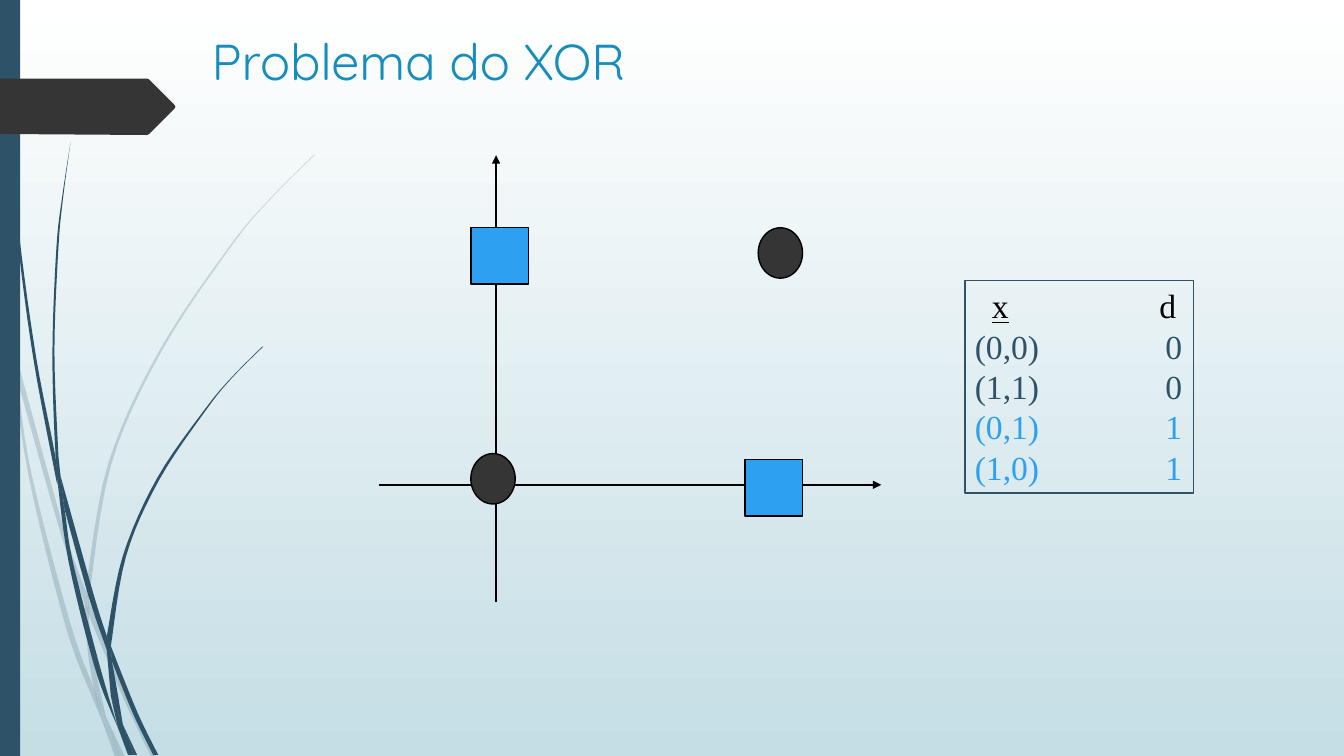
from lxml import etree
from pptx import Presentation
from pptx import util as u
from pptx.dml.color import RGBColor
from pptx.enum import shapes, text
from pptx.oxml.ns import qn

NAVY = RGBColor(0x2E, 0x53, 0x69)
CHARCOAL = RGBColor(0x35, 0x35, 0x35)
BLUE = RGBColor(0x2D, 0xA0, 0xF1)
TEAL = RGBColor(0x17, 0x8D, 0xBB)
BLACK = RGBColor(0, 0, 0)
WHITE = RGBColor(0xFF, 0xFF, 0xFF)
MIST = RGBColor(0xC5, 0xDE, 0xE5)

TITLE = "Problema do XOR"
HEADER = ("x", "d")
ROWS = [("(0,0)", "0", NAVY), ("(1,1)", "0", NAVY),
        ("(0,1)", "1", BLUE), ("(1,0)", "1", BLUE)]
HEADER_TABS = (0.17, 1.83)
ROW_TABS = (1.89,)

AXES = [((3.76, 4.81), (8.74, 4.81)), ((4.92, 5.97), (4.92, 1.54))]
CIRCLE, SQUARE = (0.44, 0.5), (0.57, 0.56)
CLASS_ZERO = [(4.67, 4.5), (7.52, 2.26)]
CLASS_ONE = [(4.67, 2.26), (7.39, 4.56)]

TAG = [(0, 0.78), (1.46, 0.78), (1.48, 0.79), (1.73, 1.04), (1.74, 1.06),
       (1.73, 1.08), (1.48, 1.33), (1.46, 1.34), (0, 1.33)]

# Each piece of grass: one edge going down, the other going back up
PALE_GRASS = [
    ([(0, 2.82), (0.09, 3.22), (0.11, 3.5)], [(0.1, 3.44), (0, 2.99)]),
    ([(0.14, 3.45), (0.62, 5.2), (0.85, 5.86)], [(0.84, 5.99), (0.58, 5.22), (0.17, 3.76)]),
    ([(0.88, 5.96), (1.27, 6.92), (1.55, 7.51)], [(1.5, 7.51), (1.23, 6.94), (0.88, 6.1)]),
    ([(1.05, 7.11), (1.24, 7.51)], [(1.19, 7.51)]),
    ([(0.11, 3.5), (0.17, 3.76), (0.31, 4.69), (0.7, 6.19), (0.93, 6.83), (1.01, 7.14)],
     [(0.92, 6.93), (0.65, 6.21), (0.28, 4.7), (0.11, 3.5)]),
    ([(0.84, 5.99), (0.88, 6.1), (0.91, 6.46), (1.05, 7.11)],
     [(0.93, 6.83), (0.87, 6.46), (0.84, 5.99)]),
    ([(3.12, 1.53), (2.68, 1.97), (2.28, 2.44), (1.58, 3.48), (1.07, 4.61), (0.85, 5.86)],
     [(0.88, 5.96), (1.1, 4.62), (1.6, 3.49), (2.29, 2.45), (2.68, 1.98), (3.12, 1.54)]),
    ([(1.01, 7.14), (1.19, 7.51)], [(1.14, 7.51)]),
    ([(0.85, 5.86), (0.88, 5.96), (0.88, 6.1)], [(0.84, 5.99)]),
    ([(0.93, 6.83), (1.05, 7.11), (1.19, 7.51)], [(1.01, 7.14)]),
]
DARK_GRASS = [
    ([(0.04, 0), (0.08, 1.09), (0.19, 2.32), (0.36, 3.55), (0.55, 4.53), (0.57, 4.81)],
     [(0.56, 4.77), (0.33, 3.55), (0.17, 2.33), (0.07, 1.1), (0.03, 0)]),
    ([(0.6, 4.72), (0.93, 5.9), (1.06, 6.31)], [(1.06, 6.45), (0.88, 5.92), (0.64, 5.05)]),
    ([(1.1, 6.41), (1.36, 7.06), (1.57, 7.49)], [(1.52, 7.49), (1.32, 7.08), (1.11, 6.56)]),
    ([(0.57, 4.77), (0.64, 5.05), (0.72, 5.56), (0.98, 6.57), (1.17, 7.22)],
     [(1.11, 7.08), (0.93, 6.59), (0.68, 5.57), (0.57, 4.77)]),
    ([(0.7, 1.41), (0.62, 1.93), (0.56, 2.45), (0.52, 3.49), (0.55, 4.49), (0.6, 4.72)],
     [(0.58, 4.53), (0.54, 3.49), (0.58, 2.45), (0.63, 1.93), (0.7, 1.41)]),
    ([(1.22, 7.19), (1.36, 7.49)], [(1.33, 7.49)]),
    ([(0.55, 4.49), (0.6, 4.72), (0.64, 5.05)], [(0.57, 4.77)]),
    ([(2.6, 3.44), (2.31, 3.73), (2.04, 4.05), (1.56, 4.74), (1.22, 5.51), (1.06, 6.31)],
     [(1.1, 6.41), (1.25, 5.52), (1.58, 4.76), (2.05, 4.06), (2.31, 3.74), (2.61, 3.44)]),
    ([(1.17, 7.22), (1.31, 7.49)], [(1.27, 7.49)]),
    ([(1.06, 6.45), (1.11, 6.56), (1.22, 7.19)], [(1.1, 6.91), (1.06, 6.45)]),
    ([(1.06, 6.31), (1.1, 6.41), (1.11, 6.56)], [(1.06, 6.45)]),
    ([(1.1, 6.91), (1.22, 7.19), (1.33, 7.49)], [(1.3, 7.49), (1.17, 7.22)]),
]


def smooth(knots, steps=6):
    """Return points along a Catmull-Rom curve through the knots."""
    padded = [knots[0], *knots, knots[-1]]
    curve = []
    for a, b, c, d in zip(padded, padded[1:], padded[2:], padded[3:]):
        for step in range(steps):
            t = step / steps
            curve.append(tuple(
                (2 * q + (r - p) * t + (2 * p - 5 * q + 4 * r - s) * t ** 2
                 + (3 * q - p - 3 * r + s) * t ** 3) / 2
                for p, q, r, s in zip(a, b, c, d)))
    return curve + [knots[-1]]


def paint(shape, fill=None, line=None):
    shape.shadow.inherit = False
    if fill is None:
        shape.fill.background()
    else:
        shape.fill.solid()
        shape.fill.fore_color.rgb = fill
    if line is None:
        shape.line.fill.background()
    else:
        shape.line.color.rgb = line
        shape.line.width = u.Pt(1)


def add_outline(slide, points, fill, alpha=None):
    corners = [(u.Inches(x), u.Inches(y)) for x, y in points]
    builder = slide.shapes.build_freeform(*corners[0])
    builder.add_line_segments(corners[1:])
    outline = builder.convert_to_shape()
    paint(outline, fill)
    if alpha:
        color = outline.element.spPr.find(qn("a:solidFill"))[0]
        etree.SubElement(color, qn("a:alpha"), val=str(alpha * 1000))


def add_preset(slide, kind, place, size, fill=None, line=None):
    shape = slide.shapes.add_shape(kind, *map(u.Inches, place + size))
    paint(shape, fill, line)
    return shape


def add_axis(slide, start, end):
    axis = slide.shapes.add_connector(
        shapes.MSO_CONNECTOR.STRAIGHT, *map(u.Inches, start + end))
    axis.line.color.rgb = BLACK
    axis.line.width = u.Pt(1)
    properties = axis.element.spPr
    etree.SubElement(properties.find(qn("a:ln")), qn("a:tailEnd"), type="triangle")
    etree.SubElement(properties, qn("a:effectLst"))


def set_tabs(paragraph, stops):
    tabs = etree.SubElement(paragraph._p.get_or_add_pPr(), qn("a:tabLst"))
    for stop in stops:
        etree.SubElement(tabs, qn("a:tab"), pos=str(u.Inches(stop)), algn="l")


def add_run(paragraph, words, font, size, color, underline=None):
    run = paragraph.add_run()
    run.text = words
    run.font.name, run.font.size = font, u.Pt(size)
    run.font.color.rgb = color
    run.font.underline = underline


def add_truth_table(slide):
    box = add_preset(slide, shapes.MSO_SHAPE.RECTANGLE, (9.57, 2.78), (2.27, 2.11), line=NAVY)
    frame = box.text_frame
    frame.word_wrap = True
    frame.vertical_anchor = text.MSO_ANCHOR.TOP
    header = frame.paragraphs[0]
    set_tabs(header, HEADER_TABS)
    serif = ("Times New Roman", 24)
    add_run(header, "\t", *serif, BLACK)
    add_run(header, HEADER[0], *serif, BLACK, True)
    add_run(header, "\t" + HEADER[1], *serif, BLACK)
    for point, target, color in ROWS:
        row = frame.add_paragraph()
        set_tabs(row, ROW_TABS)
        add_run(row, f"{point}\t{target}", *serif, color)
    for paragraph in frame.paragraphs:
        paragraph.alignment = text.PP_ALIGN.LEFT


def main():
    deck = Presentation()
    deck.slide_width, deck.slide_height = u.Inches(13.33), u.Inches(7.5)
    slide = deck.slides.add_slide(deck.slide_layouts[5])
    backdrop = slide.background.fill
    backdrop.gradient()
    backdrop.gradient_angle = 270
    for stop, color in zip(backdrop.gradient_stops, (WHITE, MIST)):
        stop.color.rgb = color

    for grass, alpha in ((PALE_GRASS, 20), (DARK_GRASS, None)):
        for down, up in grass:
            add_outline(slide, smooth(down) + smooth(up), NAVY, alpha)
    add_preset(slide, shapes.MSO_SHAPE.RECTANGLE, (0, 0), (0.2, 7.5), NAVY)
    add_outline(slide, TAG, CHARCOAL)
    for start, end in AXES:
        add_axis(slide, start, end)
    for place in CLASS_ZERO:
        add_preset(slide, shapes.MSO_SHAPE.OVAL, place, CIRCLE, CHARCOAL, BLACK)
    for place in CLASS_ONE:
        add_preset(slide, shapes.MSO_SHAPE.RECTANGLE, place, SQUARE, BLUE, BLACK)
    add_truth_table(slide)

    title = slide.shapes.title
    title.left, title.top, title.width, title.height = map(u.Inches, (2, 0.25, 9.31, 1.06))
    title.text_frame.vertical_anchor = text.MSO_ANCHOR.TOP
    heading = title.text_frame.paragraphs[0]
    heading.alignment = text.PP_ALIGN.LEFT
    add_run(heading, TITLE, "Quicksand", 36, TEAL)
    deck.save("out.pptx")


if __name__ == "__main__":
    main()
